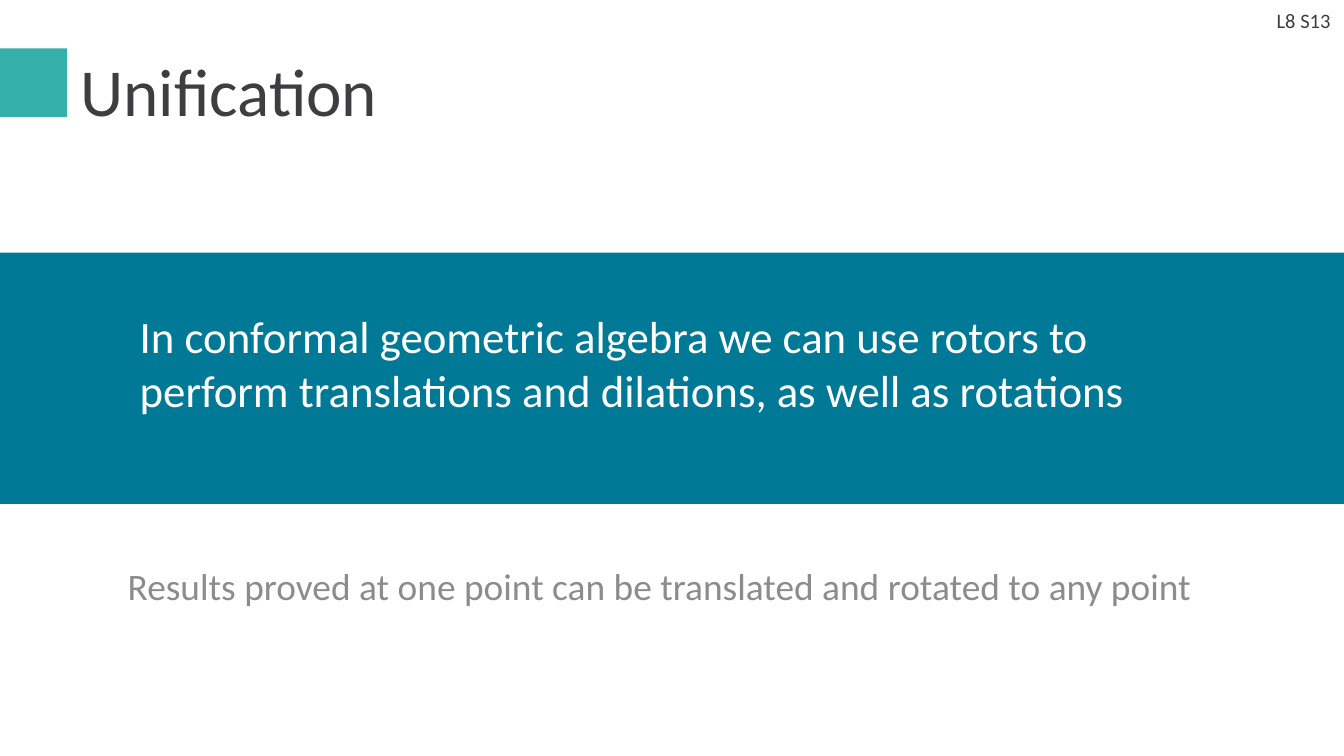
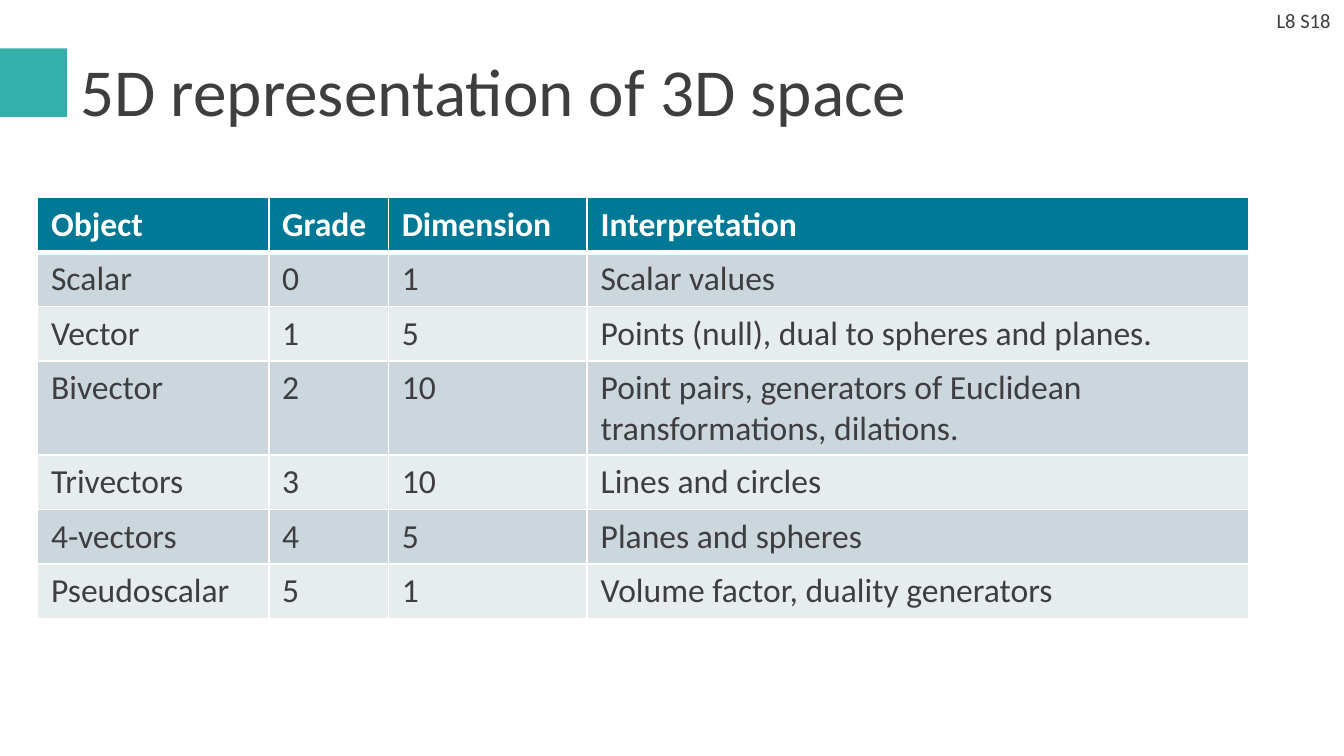
"""Build two slides on conformal geometric algebra."""
from dataclasses import dataclass

from lxml import etree
from pptx import Presentation
from pptx.dml.color import RGBColor
from pptx.enum.shapes import MSO_SHAPE
from pptx.enum.text import MSO_ANCHOR, MSO_AUTO_SIZE, PP_ALIGN
from pptx.oxml.ns import qn
from pptx.util import Inches, Pt

RECT = MSO_SHAPE.RECTANGLE
TOP, MIDDLE = MSO_ANCHOR.TOP, MSO_ANCHOR.MIDDLE
LEFT, RIGHT = PP_ALIGN.LEFT, PP_ALIGN.RIGHT
GROW = MSO_AUTO_SIZE.SHAPE_TO_FIT_TEXT


@dataclass(frozen=True)
class Theme:
    font: str = "Calibri"
    ink: str = "3E3E40"
    muted: str = "8C8C8C"
    white: str = "FFFFFF"
    accent: str = "35AFA9"
    band: str = "007997"
    row_dark: str = "CCD7DD"
    row_light: str = "E7ECEF"
    title: int = 36
    lead: int = 24
    body: int = 20
    cell: int = 18
    label: int = 11


theme = Theme()


def add_rect(s, left, top, width, height, color):
    sp = s.shapes.add_shape(RECT, Inches(left), Inches(top), Inches(width), Inches(height))
    sp.shadow.inherit = False
    sp.fill.solid()
    sp.fill.fore_color.rgb = RGBColor.from_string(color)
    sp.line.fill.background()
    return sp


def write(tf, text, size, color, anchor=TOP, align=LEFT, bold=False):
    tf.word_wrap = True
    tf.vertical_anchor = anchor
    p = tf.paragraphs[0]
    p.alignment = align
    r = p.add_run()
    r.text = text
    r.font.name = theme.font
    r.font.size = Pt(size)
    r.font.bold = bold
    r.font.color.rgb = RGBColor.from_string(color)
    return p


prs = Presentation()
prs.slide_width, prs.slide_height = Inches(10), Inches(10 * 9 / 16)

slides = []
for title, label in [("Unification", "L8 S13"), ("5D representation of 3D space", "L8 S18")]:
    s = prs.slides.add_slide(prs.slide_layouts[6])
    add_rect(s, 0, 0.36, 0.5, 0.51, theme.accent)
    sp = s.shapes.add_textbox(Inches(0.5), Inches(0.31), Inches(9), Inches(0.71))
    write(sp.text_frame, title, theme.title, theme.ink, MIDDLE)
    sp = add_rect(s, 7.67, 0, 2.33, 0.3, theme.white)
    write(sp.text_frame, label, theme.label, theme.ink, MIDDLE, RIGHT)
    slides.append(s)
unification, representation = slides

add_rect(unification, 0, 1.88, 10, 1.87, theme.band)
statements = [
    (0.96, 2.3, 8.12, 0.81, theme.lead, theme.white,
     "In conformal geometric algebra we can use rotors to "
     "perform translations and dilations, as well as rotations"),
    (0.87, 4.19, 8.27, 0.34, theme.body, theme.muted,
     "Results proved at one point can be translated and rotated to any point"),
]
for left, top, width, height, size, color, text in statements:
    sp = unification.shapes.add_textbox(Inches(left), Inches(top), Inches(width), Inches(height))
    tf = sp.text_frame
    tf.margin_left = Inches(0.08)
    tf.margin_top = tf.margin_right = tf.margin_bottom = 0
    p = write(tf, text, size, color)
    p.space_after = Pt(6)
    tf.auto_size = GROW

rows = [
    ("Object", "Grade", "Dimension", "Interpretation"),
    ("Scalar", "0", "1", "Scalar values"),
    ("Vector", "1", "5", "Points (null), dual to spheres and planes."),
    ("Bivector", "2", "10", "Point pairs, generators of Euclidean transformations, dilations."),
    ("Trivectors", "3", "10", "Lines and circles"),
    ("4-vectors", "4", "5", "Planes and spheres"),
    ("Pseudoscalar", "5", "1", "Volume factor, duality generators"),
]
widths = [1.72, 0.89, 1.48, 4.92]
row_height = 29.2 / 72
table = representation.shapes.add_table(
    len(rows), len(widths), Inches(0.28), Inches(1.47),
    Inches(sum(widths)), Inches(row_height * len(rows))).table
for column, width in zip(table.columns, widths):
    column.width = Inches(width)

for i, row in enumerate(rows):
    table.rows[i].height = Inches(row_height)
    header = i == 0
    fill = theme.band if header else theme.row_dark if i % 2 else theme.row_light
    borders = {"a:lnL": 1, "a:lnR": 1, "a:lnT": 3 if i == 1 else 1, "a:lnB": 3 if header else 1}
    for j, text in enumerate(row):
        cell = table.cell(i, j)
        write(cell.text_frame, text, theme.cell, theme.white if header else theme.ink, bold=header)
        tcPr = cell._tc.get_or_add_tcPr()
        for tag, points in borders.items():
            ln = etree.SubElement(tcPr, qn(tag), w=str(Pt(points)))
            solid = etree.SubElement(ln, qn("a:solidFill"))
            etree.SubElement(solid, qn("a:srgbClr"), val=theme.white)
        cell.fill.solid()
        cell.fill.fore_color.rgb = RGBColor.from_string(fill)

prs.save("out.pptx")
